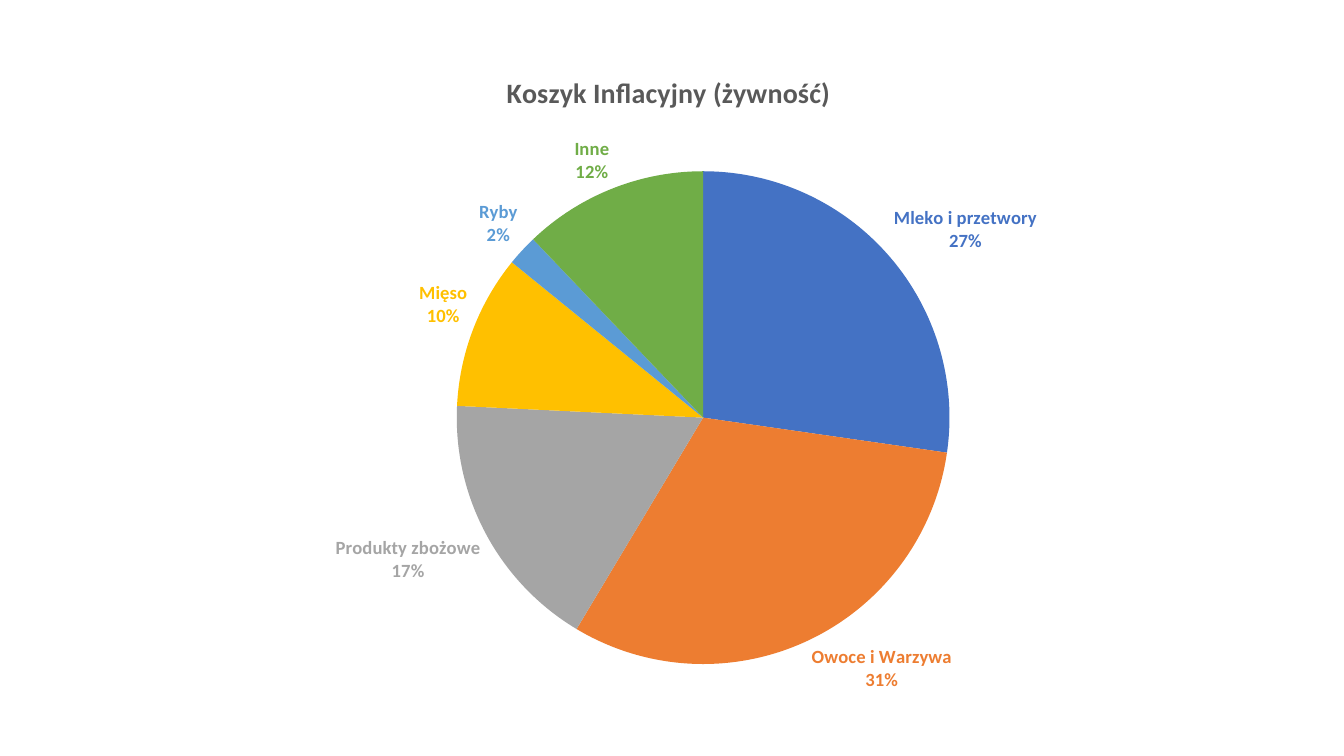
from dataclasses import dataclass

from lxml.etree import SubElement
from pptx import Presentation
from pptx.chart.chart import Chart
from pptx.chart.data import CategoryChartData
from pptx.dml.color import RGBColor
from pptx.enum.chart import XL_CHART_TYPE as ChartType, XL_LABEL_POSITION as LabelPosition
from pptx.oxml import parse_xml
from pptx.oxml.ns import nsdecls, qn
from pptx.util import Cm, Pt


@dataclass(frozen=True)
class Theme:
    """Font, colours and type sizes of the slide."""
    font: str = "Calibri"
    title_color: str = "595959"
    title_size: float = 20
    label_size: float = 13.3


@dataclass(frozen=True)
class Slice:
    """One food group of the basket."""
    name: str
    percent: int
    color: str


THEME = Theme()
TITLE = "Koszyk Inflacyjny (żywność)"
SLICES = [
    Slice("Mleko i\u00a0przetwory", 27, "4472C4"),
    Slice("Owoce i Warzywa", 31, "ED7D31"),
    Slice("Produkty zbożowe", 17, "A5A5A5"),
    Slice("Mięso", 10, "FFC000"),
    Slice("Ryby", 2, "5B9BD5"),
    Slice("Inne", 12, "70AD47"),
]


def style_font(font, size: float, color: str) -> None:
    """Apply the bold theme font in one size and colour."""
    font.name = THEME.font
    font.size = Pt(size)
    font.bold = True
    font.color.rgb = RGBColor.from_string(color)


def make_layout(**settings: object):
    """Return a manual chart layout, lengths being fractions of the chart."""
    layout = parse_xml(f"<c:layout {nsdecls('c')}><c:manualLayout/></c:layout>")
    for name, value in settings.items():
        SubElement(layout[0], qn(f"c:{name}"), val=str(value))
    return layout


def add_title(chart: Chart) -> None:
    """Write the chart title and set its place."""
    title = chart.chart_title
    run = title.text_frame.paragraphs[0].add_run()
    run.text = TITLE
    style_font(run.font, THEME.title_size, THEME.title_color)
    element = chart.element.find(f".//{qn('c:title')}")
    for old_layout in element.findall(qn("c:layout")):
        element.remove(old_layout)
    element.find(qn("c:tx")).addnext(
        make_layout(xMode="edge", yMode="edge", x=0.31, y=0.04))
    title.include_in_layout = False


def place_pie(chart: Chart) -> None:
    """Set the square in which the pie is drawn."""
    plot_area = chart.element.find(f".//{qn('c:plotArea')}")
    for old_layout in plot_area.findall(qn("c:layout")):
        plot_area.remove(old_layout)
    plot_area.insert(0, make_layout(layoutTarget="inner", xMode="edge", yMode="edge",
                                    x=0.26, y=0.193, w=0.55, h=0.732))


def style_slices(chart: Chart) -> None:
    """Colour each slice and its label alike."""
    series = chart.plots[0].series[0]
    labels = series.data_labels
    labels.position = LabelPosition.OUTSIDE_END
    for index, food in enumerate(SLICES):
        point = series.points[index]
        point.format.fill.solid()
        point.format.fill.fore_color.rgb = RGBColor.from_string(food.color)
        point.format.line.fill.background()
        style_font(point.data_label.font, THEME.label_size, food.color)
        point.data_label.position = LabelPosition.OUTSIDE_END


def show_name_and_percent(chart: Chart) -> None:
    """Let every label show the name above the percentage."""
    shown = {"showVal": "0", "showCatName": "1", "showPercent": "1"}
    for last_flag in list(chart.element.iter(qn("c:showBubbleSize"))):
        label = last_flag.getparent()
        for name, value in shown.items():
            label.find(qn(f"c:{name}")).set("val", value)
        last_flag.addnext(parse_xml(f"<c:separator {nsdecls('c')}>\n</c:separator>"))


def add_basket_chart(slide) -> None:
    """Add the pie chart of the food basket."""
    data = CategoryChartData()
    data.categories = [food.name for food in SLICES]
    data.add_series("Series 1", [food.percent for food in SLICES])
    chart = slide.shapes.add_chart(ChartType.PIE, Cm(5.64), Cm(1.04),
                                   Cm(22.58), Cm(16.97), data).chart
    chart.has_legend = False
    chart.font.name = THEME.font
    chart.font.size = Pt(THEME.label_size)
    chart.plots[0].vary_by_categories = True
    add_title(chart)
    place_pie(chart)
    style_slices(chart)
    show_name_and_percent(chart)


def main() -> None:
    """Build and save the slide."""
    presentation = Presentation()
    presentation.slide_width = Cm(33.87)
    presentation.slide_height = Cm(19.05)
    slide = presentation.slides.add_slide(presentation.slide_layouts[6])
    add_basket_chart(slide)
    presentation.save("out.pptx")


main()
